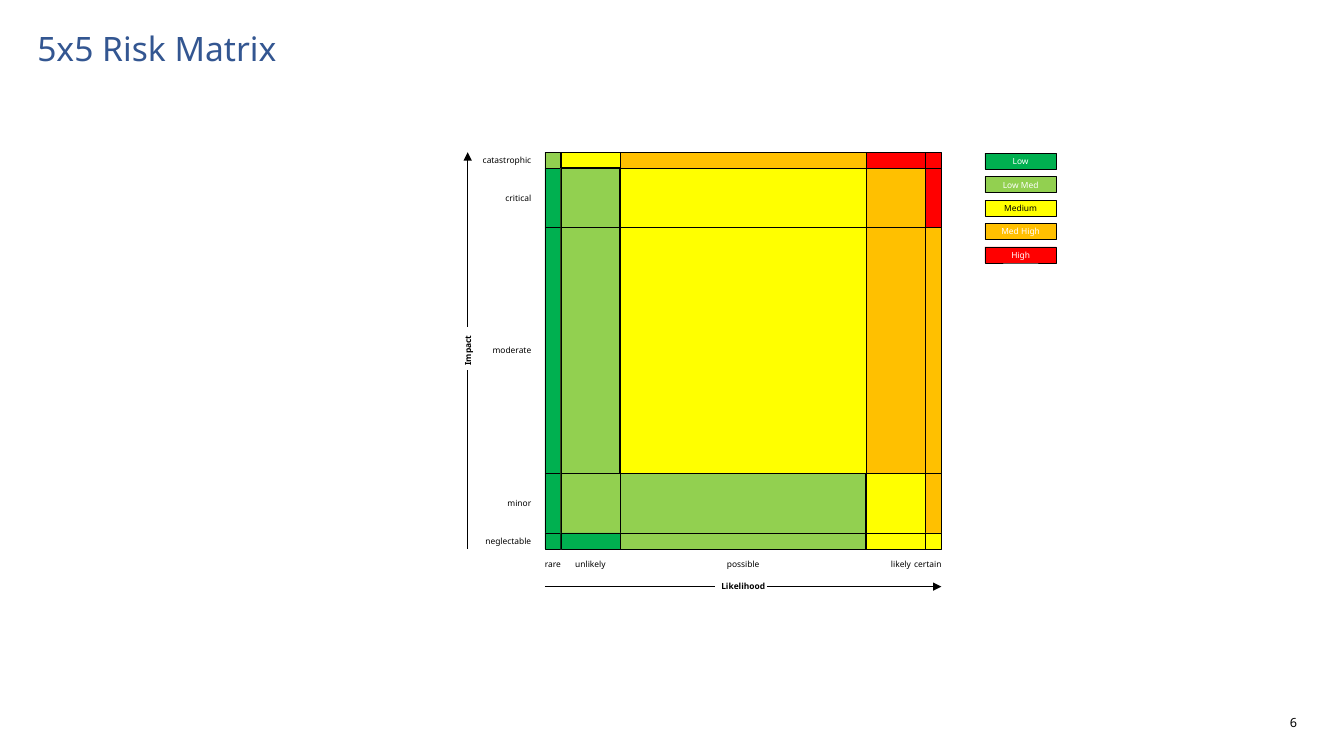
from collections import namedtuple
from itertools import accumulate
from lxml import etree
from pptx import Presentation
from pptx import util as u
from pptx.dml.color import RGBColor
from pptx.enum import shapes, text
from pptx.oxml import ns

BLACK = RGBColor(0x00, 0x00, 0x00)
WHITE = RGBColor(0xFF, 0xFF, 0xFF)
BLUE = RGBColor(0x33, 0x56, 0x91)
LOW = RGBColor(0x00, 0xB0, 0x50)
LOW_MED = RGBColor(0x92, 0xD0, 0x50)
MEDIUM = RGBColor(0xFF, 0xFF, 0x00)
MED_HIGH = RGBColor(0xFF, 0xC0, 0x00)
HIGH = RGBColor(0xFF, 0x00, 0x00)

FONT = "Noto Sans"
LEFT, CENTER, RIGHT = text.PP_ALIGN.LEFT, text.PP_ALIGN.CENTER, text.PP_ALIGN.RIGHT

# The slide is a grid of square units, ten to the inch
Box = namedtuple("Box", "left top width height")
SLIDE = Box(0, 0, 133.33, 75)
MATRIX = Box(54.05, 15.1, 39.35, 39.35)

# Columns and rows share the same proportions
SHARES = (0.04, 0.15, 0.62, 0.15, 0.04)
EDGES = (0, *accumulate(SHARES))
IMPACTS = ("catastrophic", "critical", "moderate", "minor", "neglectable")
LIKELIHOODS = ("rare", "unlikely", "possible", "likely", "certain")
RISKS = (
    (LOW_MED, MEDIUM, MED_HIGH, HIGH, HIGH),
    (LOW, LOW_MED, MEDIUM, MED_HIGH, HIGH),
    (LOW, LOW_MED, MEDIUM, MED_HIGH, MED_HIGH),
    (LOW, LOW_MED, LOW_MED, MEDIUM, MED_HIGH),
    (LOW, LOW, LOW_MED, MEDIUM, MEDIUM),
)
# Heavy borders as (column, row) edge indices
BORDERS = (
    ((1, 1), (1, 0)), ((2, 3), (2, 1)), ((3, 5), (3, 3)),
    ((1, 1), (2, 1)), ((2, 3), (3, 3)),
)
LEVELS = (
    ("Low", LOW, WHITE), ("Low Med", LOW_MED, WHITE), ("Medium", MEDIUM, BLACK),
    ("Med High", MED_HIGH, WHITE), ("High", HIGH, WHITE),
)


def units(*values):
    return [u.Inches(value / 10) for value in values]


def write(shape, words, size=6, color=BLACK, bold=False, align=CENTER, inset=0):
    frame = shape.text_frame
    frame.word_wrap = True
    frame.vertical_anchor = text.MSO_ANCHOR.MIDDLE
    frame.margin_left = frame.margin_top = frame.margin_bottom = 0
    frame.margin_right = u.Inches(inset)
    paragraph = frame.paragraphs[0]
    paragraph.alignment = align
    run = paragraph.add_run()
    run.text = words
    font = run.font
    font.name, font.size, font.bold = FONT, u.Pt(size), bold
    font.color.rgb = color


def add_label(slide, box, words, **style):
    shape = slide.shapes.add_textbox(*units(*box))
    write(shape, words, **style)
    return shape


def add_cell(slide, box, fill):
    shape = slide.shapes.add_shape(shapes.MSO_SHAPE.RECTANGLE, *units(*box))
    shape.shadow.inherit = False
    shape.fill.solid()
    shape.fill.fore_color.rgb = fill
    shape.line.color.rgb = BLACK
    shape.line.width = u.Pt(0.25)
    return shape


def add_line(slide, start, end, width=0.75, arrow=False):
    line = slide.shapes.add_connector(
        shapes.MSO_CONNECTOR.STRAIGHT, *units(*start, *end))
    line.line.color.rgb = BLACK
    line.line.width = u.Pt(width)
    if arrow:
        etree.SubElement(line.line._get_or_add_ln(), ns.qn("a:tailEnd"), type="triangle")
    etree.SubElement(line._element.spPr, ns.qn("a:effectLst"))


def add_frame_texts(slide, box):
    add_label(slide, Box(box.left + 3.7, box.top + 2.8, 126, 4), "5x5 Risk Matrix",
              size=24, color=BLUE, align=LEFT)
    add_label(slide, Box(box.width / 2, 70.5, 63, 2.4), "6",
              size=9, align=RIGHT, inset=0.1)


def add_matrix(slide, box):
    columns = [box.left + edge * box.width for edge in EDGES]
    rows = [box.top + edge * box.height for edge in EDGES]
    for row, colors in enumerate(RISKS):
        for column, color in enumerate(colors):
            add_cell(slide, Box(columns[column], rows[row], SHARES[column] * box.width,
                                SHARES[row] * box.height), color)
    for start, end in BORDERS:
        add_line(slide, *((columns[column], rows[row]) for column, row in (start, end)),
                 width=1.25)


def add_likelihood_axis(slide, box):
    # The narrow outer columns get wider labels, aligned to the outside
    narrow = 0.1 * box.width
    top = box.top + box.height + 0.75
    for index, (words, share) in enumerate(zip(LIKELIHOODS, SHARES)):
        left, width, align = box.left + EDGES[index] * box.width, share * box.width, CENTER
        if words == "rare":
            width, align = narrow, LEFT
        elif words == "certain":
            left, width, align = box.left + box.width - narrow, narrow, RIGHT
        elif words == "likely":
            left += 0.5
        add_label(slide, Box(left, top, width, 1.6), words, align=align)

    line_top = box.top + box.height + 3.75
    add_label(slide, Box(box.left, line_top - 1, box.width, 2), "Likelihood", bold=True)
    for start, end in ((0, 0.43), (0.56, 1)):
        add_line(slide, (box.left + start * box.width, line_top),
                 (box.left + end * box.width, line_top), arrow=end == 1)


def add_impact_axis(slide, box):
    for words, edge, share in zip(IMPACTS, EDGES, SHARES):
        add_label(slide, Box(box.left - 6.45, box.top + edge * box.height, 5.7,
                             share * box.height), words, align=RIGHT, inset=0.06)

    line_left = box.left - 7.65
    middle = box.top + box.height / 2
    title = add_label(slide, Box(line_left - box.height / 2, middle - 1, box.height, 2),
                      "Impact", bold=True)
    title.rotation = 270
    for start, end in ((1, 0.55), (0.44, 0)):
        add_line(slide, (line_left, box.top + start * box.height),
                 (line_left, box.top + end * box.height), arrow=end == 0)


def add_legend(slide, box):
    pitch = (box.height - 1.6) / (len(LEVELS) - 1)
    for index, (words, fill, color) in enumerate(LEVELS):
        cell = add_cell(slide, Box(box.left, box.top + index * pitch, box.width, 1.6), fill)
        write(cell, words, color=color)


presentation = Presentation()
presentation.slide_width, presentation.slide_height = units(SLIDE.width, SLIDE.height)
slide = presentation.slides.add_slide(presentation.slide_layouts[6])

add_frame_texts(slide, SLIDE)
add_matrix(slide, MATRIX)
add_likelihood_axis(slide, MATRIX)
add_impact_axis(slide, MATRIX)
add_legend(slide, Box(97.7, 15.2, 7.1, 10.9))

presentation.save("out.pptx")
